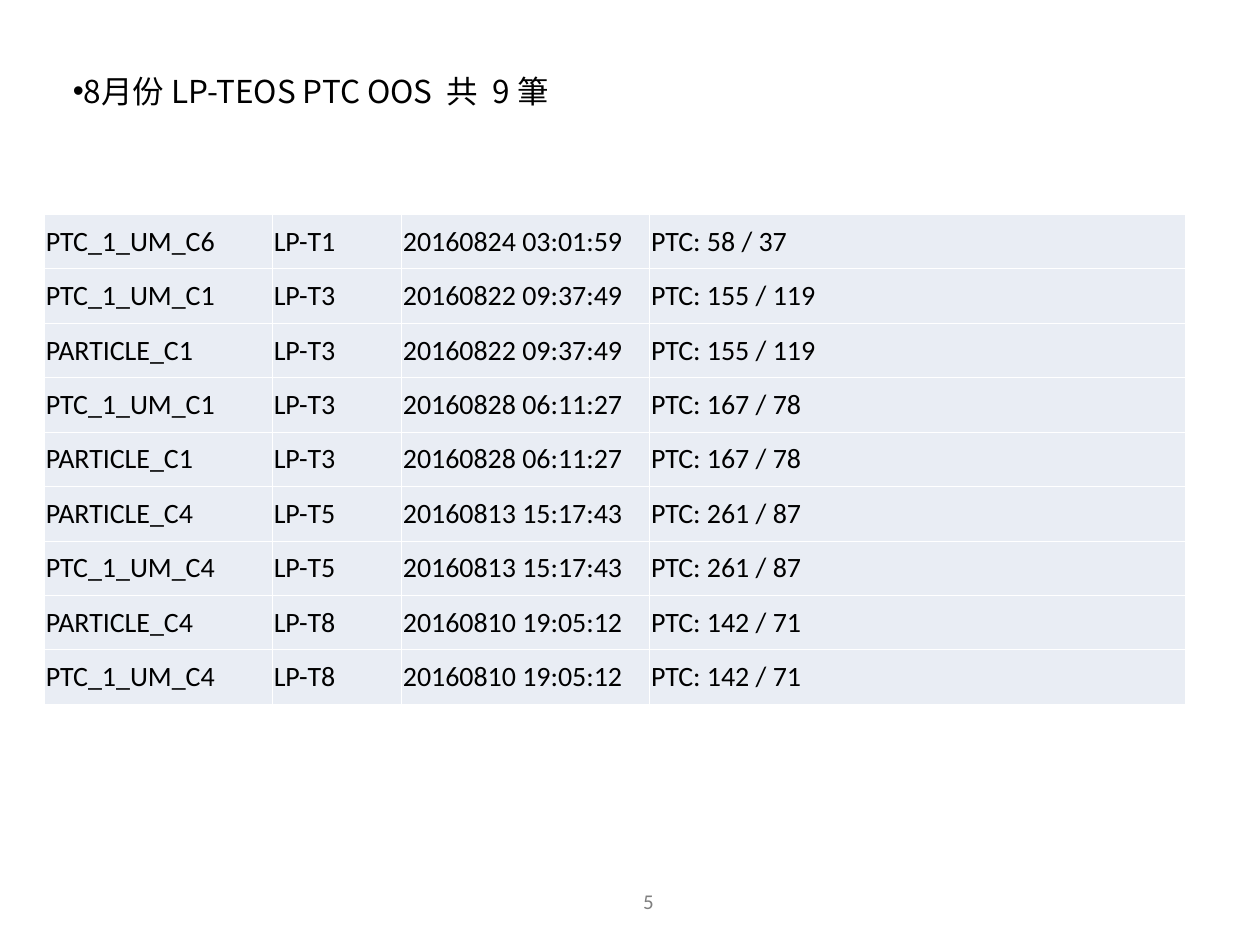
"""Build the monthly list of LP-TEOS particle count records."""
from dataclasses import dataclass

import pptx
import pptx.dml.color
import pptx.enum.text
import pptx.oxml
import pptx.oxml.ns
import pptx.util

Pt = pptx.util.Pt
Rgb = pptx.dml.color.RGBColor.from_string
Align = pptx.enum.text.PP_ALIGN
Anchor = pptx.enum.text.MSO_ANCHOR
Auto = pptx.enum.text.MSO_AUTO_SIZE


@dataclass(frozen=True)
class Theme:
    """Hold the colours, fonts and type sizes."""
    ink: str = "000000"
    grey: str = "7F7F7F"
    cell: str = "E9EDF4"
    rule: str = "FFFFFF"
    body: str = "Calibri"
    cjk: str = "Noto Sans CJK SC"
    head: float = 18
    text: float = 16
    foot: float = 12


THEME = Theme()
COLS = (130.2, 73.8, 141.8, 306)
ROW = 31.12
ROWS = (
    ("PTC_1_UM_C6", "LP-T1", "20160824 03:01:59", "PTC: 58 / 37"),
    ("PTC_1_UM_C1", "LP-T3", "20160822 09:37:49", "PTC: 155 / 119"),
    ("PARTICLE_C1", "LP-T3", "20160822 09:37:49", "PTC: 155 / 119"),
    ("PTC_1_UM_C1", "LP-T3", "20160828 06:11:27", "PTC: 167 / 78"),
    ("PARTICLE_C1", "LP-T3", "20160828 06:11:27", "PTC: 167 / 78"),
    ("PARTICLE_C4", "LP-T5", "20160813 15:17:43", "PTC: 261 / 87"),
    ("PTC_1_UM_C4", "LP-T5", "20160813 15:17:43", "PTC: 261 / 87"),
    ("PARTICLE_C4", "LP-T8", "20160810 19:05:12", "PTC: 142 / 71"),
    ("PTC_1_UM_C4", "LP-T8", "20160810 19:05:12", "PTC: 142 / 71"),
)


def apply(item, form):
    """Set each attribute of an item from a dict of values."""
    for name, value in form.items():
        setattr(item, name, value)


def make(tag, body="", **attrs):
    """Return a drawing element with the given body and attributes."""
    space = pptx.oxml.ns.nsdecls("a")
    pairs = " ".join(f'{key}="{value}"' for key, value in attrs.items())
    return pptx.oxml.parse_xml(f"<a:{tag} {space} {pairs}>{body}</a:{tag}>")


def write(para, text, size, face, color):
    """Add one styled run to a paragraph."""
    run = para.add_run()
    run.text = text
    apply(run.font, {"size": Pt(size), "name": face})
    run.font.color.rgb = Rgb(color)
    return run


def add_box(slide, spot, form):
    """Add a text box and return its first paragraph."""
    frame = slide.shapes.add_textbox(*map(Pt, spot)).text_frame
    apply(frame, form)
    return frame.paragraphs[0]


def add_head(slide, text):
    """Add the bulleted heading."""
    form = {"word_wrap": False, "auto_size": Auto.SHAPE_TO_FIT_TEXT}
    para = add_box(slide, (34.5, 37.5, 328.5, 72), form)
    props = para._p.get_or_add_pPr()
    apply(props, {"marL": Pt(22.5), "indent": Pt(-22.5)})
    props.append(make("buClr", f'<a:srgbClr val="{THEME.ink}"/>'))
    props.append(make("buFont", typeface="Arial"))
    props.append(make("buChar", char="•"))
    run = write(para, text, THEME.head, THEME.cjk, THEME.ink)
    run._r.get_or_add_rPr().append(make("ea", typeface=THEME.cjk))


def add_foot(slide, text):
    """Add the page number."""
    form = {"word_wrap": True, "vertical_anchor": Anchor.MIDDLE}
    para = add_box(slide, (286.5, 500.5, 168, 28.75), form)
    para.alignment = Align.CENTER
    write(para, text, THEME.foot, THEME.body, THEME.grey)


def fill_cell(cell, text):
    """Style a cell and write its text."""
    apply(cell, {
        "margin_left": Pt(0.75), "margin_right": Pt(0.75),
        "margin_top": Pt(3.6), "margin_bottom": Pt(3.6),
        "vertical_anchor": Anchor.MIDDLE,
    })
    props = cell._tc.get_or_add_tcPr()
    paint = f'<a:solidFill><a:srgbClr val="{THEME.rule}"/></a:solidFill>'
    for side in "LRTB":
        props.append(make(f"ln{side}", paint, w=Pt(0.45)))
    cell.fill.solid()
    cell.fill.fore_color.rgb = Rgb(THEME.cell)
    para = cell.text_frame.paragraphs[0]
    write(para, text, THEME.text, THEME.body, THEME.ink)


def add_grid(slide, rows):
    """Add the table of records."""
    spot = (25.5, 122.5, sum(COLS), ROW * len(rows))
    table = slide.shapes.add_table(
        len(rows), len(COLS), *map(Pt, spot)).table
    apply(table, {"first_row": False, "horz_banding": False})
    for col, width in zip(table.columns, COLS):
        col.width = Pt(width)
    for line, texts in zip(table.rows, rows):
        line.height = Pt(ROW)
        for cell, text in zip(line.cells, texts):
            fill_cell(cell, text)


def main():
    """Build and save the slide."""
    deck = pptx.Presentation()
    apply(deck, {"slide_width": Pt(720), "slide_height": Pt(540)})
    slide = deck.slides.add_slide(deck.slide_layouts[6])
    add_foot(slide, "5")
    add_head(slide, "8月份 LP-TEOS PTC OOS  共  9 筆")
    add_grid(slide, ROWS)
    deck.save("out.pptx")


if __name__ == "__main__":
    main()
